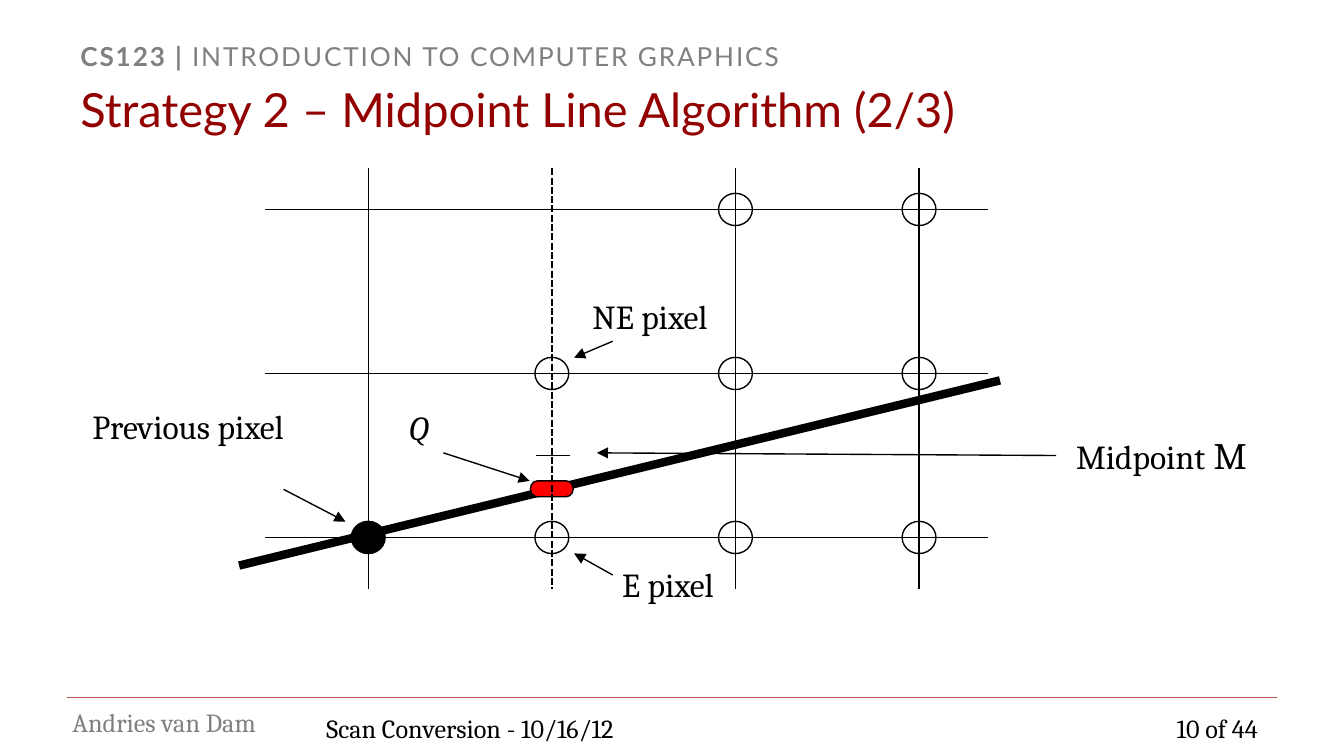
import pptx
import pptx.dml.color
import pptx.enum.dml
import pptx.enum.shapes
import pptx.enum.text
import pptx.util
from lxml import etree
from pptx.oxml.ns import qn

Cm = pptx.util.Cm
Pt = pptx.util.Pt
ALIGN = pptx.enum.text.PP_ALIGN
ANCHOR = pptx.enum.text.MSO_ANCHOR
SHAPE = pptx.enum.shapes.MSO_SHAPE

BLACK, WHITE, GRAY = "000000", "FFFFFF", "808080"
TITLE_RED, RULE_RED, POINT_RED = "920000", "C0504D", "FF0000"

# Pixel grid, in cm
COLUMNS = [6.96 + 3.47 * i for i in range(4)]
ROWS = [3.96 + 3.1 * i for i in range(3)]
GRID_LEFT, GRID_RIGHT, GRID_TOP, GRID_BOTTOM = 5, 18.67, 3.18, 11.13
PIXEL_WIDTH, PIXEL_HEIGHT = 0.64, 0.61
PREVIOUS_PIXEL = (0, 2)
OPEN_PIXELS = [(1, 1), (1, 2)] + [(c, r) for c in (2, 3) for r in range(3)]

IDEAL_LINE = ((4.52, 10.69), (18.9, 7.19))
ARROWS = [
    ((19.96, 8.61), (11.28, 8.56)),  # midpoint M
    ((5.36, 9.25), (6.53, 9.86)),    # previous pixel
    ((11.58, 6.45), (10.85, 6.76)),  # NE pixel
    ((8.38, 8.56), (10.01, 9.09)),   # Q
    ((11.58, 10.87), (10.85, 10.46)),  # E pixel
]

# Box (left, top, width, height) and runs (text, size, style)
LABELS = [
    ((0.99, 7.54, 5.13, 1.02), [("Previous pixel", 18, {})]),
    ((11.28, 10.54, 2.69, 1.02), [("E pixel", 18, {})]),
    ((10.52, 5.46, 3.53, 1.02), [("NE pixel", 18, {})]),
    ((19.13, 8.05, 5.64, 1.12), [("Midpoint", 18, {}), (" M", 20, {})]),
    ((7.47, 7.57, 0.91, 1.02), [("Q", 18, {"italic": True})]),
]
HEADER = [
    ("CS123 | ", 14, {"font": "Lato", "color": GRAY, "bold": True, "spacing": 1}),
    ("INTRODUCTION TO COMPUTER GRAPHICS", 14, {"font": "Lato", "color": GRAY, "spacing": 1}),
]
TITLE = [("Strategy 2 – Midpoint Line Algorithm (2/3)", 25.2, {"font": "Lato", "color": TITLE_RED})]
AUTHOR = [("Andries van Dam", 14, {"color": GRAY})]
PAGE = [("10 of 44 ", 14, {})]
TOPIC = [("Scan Conversion - 10/16/12", 14, {})]

presentation = pptx.Presentation()
presentation.slide_width, presentation.slide_height = Cm(25.4), Cm(14.29)
slide = presentation.slides.add_slide(presentation.slide_layouts[6])


def rgb(color):
    return pptx.dml.color.RGBColor.from_string(color)


def add_text(box, runs, align=ALIGN.LEFT, anchor=ANCHOR.TOP, wrap=True):
    text_box = slide.shapes.add_textbox(*map(Cm, box))
    frame = text_box.text_frame
    frame.word_wrap = wrap
    frame.vertical_anchor = anchor
    paragraph = frame.paragraphs[0]
    paragraph.alignment = align
    for text, size, style in runs:
        run = paragraph.add_run()
        run.text = text
        run.font.size = Pt(size)
        run.font.name = style.get("font", "Cambria")
        run.font.bold = style.get("bold", False)
        run.font.italic = style.get("italic", False)
        run.font.color.rgb = rgb(style.get("color", BLACK))
        if "spacing" in style:
            run.font._element.set("spc", str(100 * style["spacing"]))
    return text_box


def add_line(start, end, color=BLACK, width=0.75, dashed=False, arrow=False):
    line = slide.shapes.add_connector(
        pptx.enum.shapes.MSO_CONNECTOR.STRAIGHT, *map(Cm, start + end))
    line.line.color.rgb = rgb(color)
    line.line.width = Pt(width)
    if dashed:
        line.line.dash_style = pptx.enum.dml.MSO_LINE.SQUARE_DOT
    if arrow:
        etree.SubElement(line.line._get_or_add_ln(), qn("a:tailEnd"), type="triangle")
    etree.SubElement(line._element.spPr, qn("a:effectLst"))


def add_marker(kind, center, width, height, fill):
    x, y = center
    shape = slide.shapes.add_shape(
        kind, Cm(x - width / 2), Cm(y - height / 2), Cm(width), Cm(height))
    shape.shadow.inherit = False
    shape.fill.solid()
    shape.fill.fore_color.rgb = rgb(fill)
    shape.line.color.rgb = rgb(BLACK)
    shape.line.width = Pt(0.75)


def add_pixel(column, row, fill):
    add_marker(SHAPE.OVAL, (COLUMNS[column], ROWS[row]), PIXEL_WIDTH, PIXEL_HEIGHT, fill)


# Header and footer
header = add_text((1.27, 0.64, 22.86, 0.64), HEADER)
header.fill.solid()
header.fill.fore_color.rgb = rgb(WHITE)
add_text((1.27, 1.42, 22.86, 1.27), TITLE, anchor=ANCHOR.MIDDLE)
add_line((1.27, 13.18), (24.13, 13.18), RULE_RED)
add_text((1.12, 13.23, 4.88, 0.86), AUTHOR)
add_text((5.92, 13.34, 14.61, 0.66), TOPIC)
add_text((20.75, 13.34, 3.38, 0.66), PAGE, ALIGN.RIGHT)

# Pixels, ideal line and the crossing point Q
for column, row in OPEN_PIXELS:
    add_pixel(column, row, WHITE)
add_pixel(*PREVIOUS_PIXEL, BLACK)
add_line(*IDEAL_LINE, width=4.5)
add_marker(SHAPE.FLOWCHART_TERMINATOR, (COLUMNS[1], 9.24), 0.81, 0.3, POINT_RED)

# Grid lines; the column being decided is dashed
for index, x in enumerate(COLUMNS):
    current = index == 1
    add_line((x, GRID_TOP), (x, GRID_BOTTOM), width=1.25 if current else 0.75, dashed=current)
for y in ROWS:
    add_line((GRID_LEFT, y), (GRID_RIGHT, y))

# Midpoint tick, arrows and labels
midpoint = (ROWS[1] + ROWS[2]) / 2
add_line((COLUMNS[1] - 0.3, midpoint), (COLUMNS[1] + 0.34, midpoint), width=1)
for start, end in ARROWS:
    add_line(start, end, arrow=True)
for box, runs in LABELS:
    is_q = runs[0][0] == "Q"
    add_text(box, runs, ALIGN.LEFT if is_q else ALIGN.CENTER, wrap=not is_q)

presentation.save("out.pptx")
